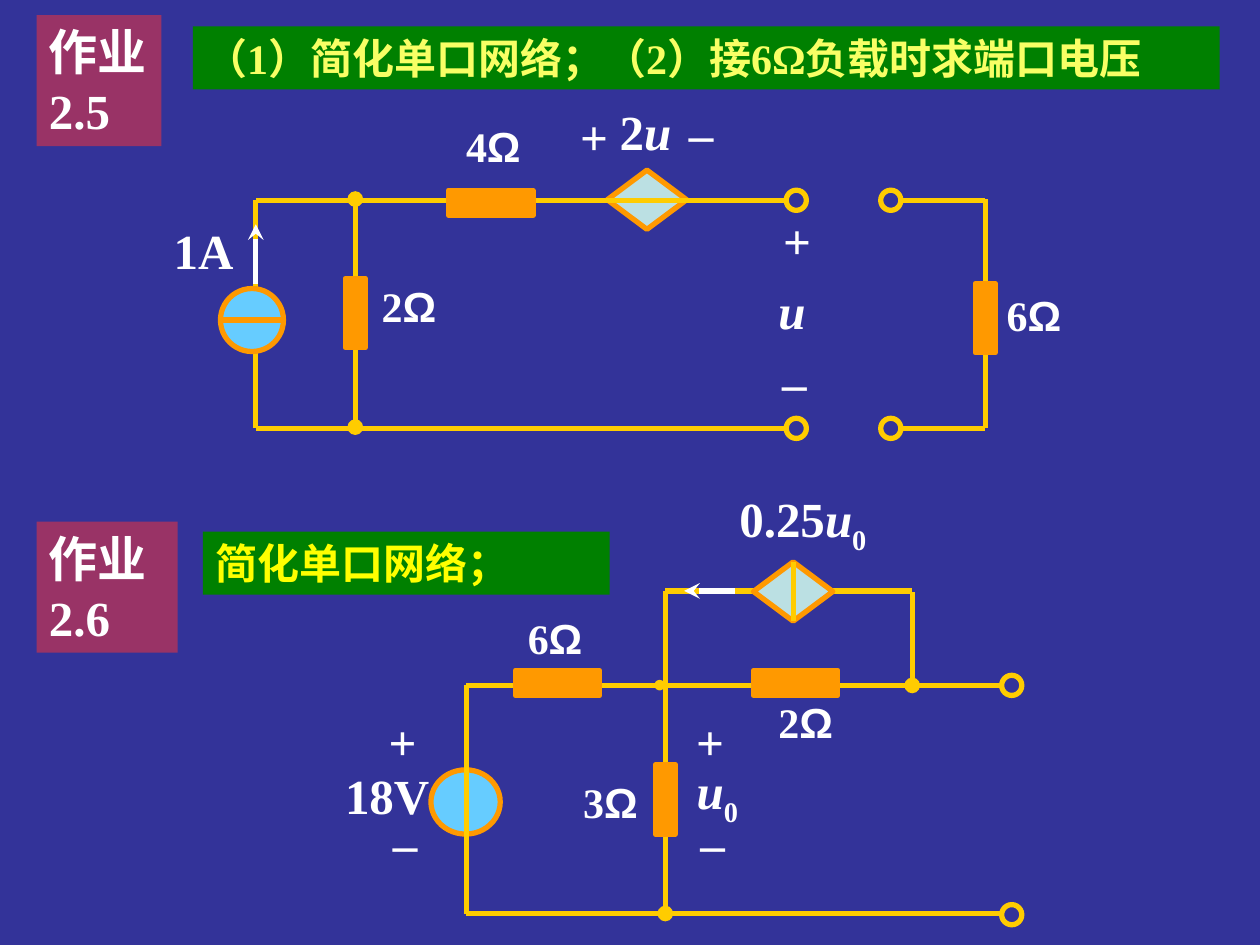
"""Build the homework slide with two single-port resistor circuits."""
from lxml.etree import SubElement
from pptx import Presentation
from pptx.dml.color import RGBColor
from pptx.enum.shapes import MSO_CONNECTOR, MSO_SHAPE
from pptx.enum.text import MSO_ANCHOR, PP_ALIGN
from pptx.oxml.ns import qn
from pptx.util import Pt

PX = 9144
BACKGROUND = RGBColor(0x33, 0x33, 0x99)
PLUM = RGBColor(0x99, 0x33, 0x66)
GREEN = RGBColor(0x00, 0x80, 0x00)
ORANGE = RGBColor(0xFF, 0x99, 0x00)
GOLD = RGBColor(0xFF, 0xCC, 0x00)
SKY = RGBColor(0x66, 0xCC, 0xFF)
PALE = RGBColor(0xBB, 0xE0, 0xE3)
WHITE = RGBColor(0xFF, 0xFF, 0xFF)
YELLOW = RGBColor(0xFF, 0xFF, 0x00)
LEMON = RGBColor(0xF8, 0xFF, 0x65)
SERIF, SANS, CHINESE = "Times New Roman", "Arial", "Noto Sans CJK SC"

presentation = Presentation()
presentation.slide_width = 1000 * PX
presentation.slide_height = 750 * PX
slide = presentation.slides.add_slide(presentation.slide_layouts[6])
slide.background.fill.solid()
slide.background.fill.fore_color.rgb = BACKGROUND


def add_symbol(kind, box, fill, line, rotation=0):
    shape = slide.shapes.add_shape(kind, *(value * PX for value in box))
    shape.shadow.inherit = False
    shape.rotation = rotation
    if fill is None:
        shape.fill.background()
    else:
        shape.fill.solid()
        shape.fill.fore_color.rgb = fill
    if line is None:
        shape.line.fill.background()
    else:
        shape.line.color.rgb = line
        shape.line.width = Pt(3)
    return shape


def write(shape, runs, size, color=WHITE, align=PP_ALIGN.LEFT, anchor=MSO_ANCHOR.TOP):
    frame = shape.text_frame
    frame.word_wrap = True
    frame.vertical_anchor = anchor
    paragraph = frame.paragraphs[0]
    paragraph.alignment = align
    for text, font, style in runs:
        run = paragraph.add_run()
        run.text = text
        run.font.size = Pt(size)
        run.font.bold = True
        run.font.italic = style == "italic"
        run.font.color.rgb = color
        run.font.name = font
        properties = run.font._element
        SubElement(properties, qn("a:ea")).set("typeface", CHINESE)
        if style == "subscript":
            properties.set("baseline", "-25000")


for box, number in (((29, 12, 99, 104), "2.5"), ((29, 414, 112, 104), "2.6")):
    label = add_symbol(MSO_SHAPE.RECTANGLE, box, PLUM, None)
    write(label, [("作业", CHINESE, ""), (number, SERIF, "")], 28, anchor=MSO_ANCHOR.MIDDLE)

for box, text, font, color in (
    ((153, 21, 815, 50), "（1）简化单口网络；（2）接6Ω负载时求端口电压", SERIF, LEMON),
    ((161, 422, 323, 50), "简化单口网络；", SANS, YELLOW),
):
    banner = add_symbol(MSO_SHAPE.RECTANGLE, box, GREEN, None)
    write(banner, [(text, font, "")], 24, color, anchor=MSO_ANCHOR.MIDDLE)

add_symbol(MSO_SHAPE.DIAMOND, (490, 127, 47, 63), PALE, ORANGE, 270)
add_symbol(MSO_SHAPE.OVAL, (342, 611, 55, 51), SKY, ORANGE)

wires = [
    (282, 158, 282, 339, GOLD, "oval", "oval"),
    (203, 159, 203, 340, GOLD, None, None),
    (203, 159, 624, 159, GOLD, None, None),
    (203, 340, 624, 340, GOLD, None, None),
    (782, 158, 782, 340, GOLD, None, None),
    (715, 159, 782, 159, GOLD, None, None),
    (715, 340, 782, 340, GOLD, None, None),
    (528, 469, 528, 725, GOLD, None, "oval"),
    (370, 544, 370, 725, GOLD, None, None),
    (370, 544, 795, 544, GOLD, None, None),
    (370, 725, 795, 725, GOLD, None, None),
    (528, 469, 724, 469, GOLD, None, None),
    (724, 470, 724, 544, GOLD, None, "oval"),
]
source_marks = [
    (175, 254, 225, 254, ORANGE, None, None),
    (203, 225, 203, 178, WHITE, None, "stealth"),
    (630, 446, 630, 493, GOLD, None, None),
    (583, 469, 543, 469, WHITE, None, "stealth"),
]
for lines in (wires, source_marks):
    for x1, y1, x2, y2, color, head, tail in lines:
        wire = slide.shapes.add_connector(
            MSO_CONNECTOR.STRAIGHT, x1 * PX, y1 * PX, x2 * PX, y2 * PX)
        wire.line.color.rgb = color
        wire.line.width = Pt(3)
        outline = wire.line._get_or_add_ln()
        for tag, end in (("a:headEnd", head), ("a:tailEnd", tail)):
            if end:
                SubElement(outline, qn(tag)).set("type", end)
        SubElement(wire._element.spPr, qn("a:effectLst"))
    if lines is wires:
        add_symbol(MSO_SHAPE.OVAL, (175, 229, 50, 50), SKY, ORANGE)
        add_symbol(MSO_SHAPE.DIAMOND, (606, 438, 47, 63), PALE, ORANGE, 90)

horizontal, vertical = (67, 20), (16, 55)
for left, top, size, ohms, label_left, label_top in (
    (356, 151, horizontal, "4", 360, 91),
    (274, 221, vertical, "2", 293, 218),
    (774, 225, vertical, "6", 789, 225),
    (409, 532, horizontal, "6", 409, 481),
    (598, 532, horizontal, "2", 608, 548),
    (520, 607, vertical, "3", 453, 611),
):
    add_symbol(MSO_SHAPE.RECTANGLE, (left, top, *size), ORANGE, ORANGE)
    label = slide.shapes.add_textbox(label_left * PX, label_top * PX, 75 * PX, 50 * PX)
    write(label, [(ohms, SERIF, ""), ("Ω", SANS, "")], 24)

for left, top in ((624, 151), (624, 332), (699, 151), (699, 332), (795, 536), (795, 718)):
    add_symbol(MSO_SHAPE.OVAL, (left, top, 16, 16), None, GOLD)

for sign, width, places in (
    ("+", 49, ((447, 80), (608, 162), (539, 560), (295, 560))),
    ("_", 45, ((534, 64), (608, 261), (543, 627), (299, 627))),
):
    for left, top in places:
        label = slide.shapes.add_textbox(left * PX, top * PX, width * PX, 57 * PX)
        write(label, [(sign, SERIF, "")], 28, align=PP_ALIGN.CENTER)

voltage, zero = ("u", SERIF, "italic"), ("0", SERIF, "subscript")
for left, top, width, height, runs in (
    (128, 170, 75, 57, [("1A", SERIF, "")]),
    (482, 76, 66, 57, [("2", SERIF, ""), voltage]),
    (608, 218, 51, 57, [voltage]),
    (264, 603, 94, 57, [("18V", SERIF, "")]),
    (543, 599, 55, 63, [voltage, zero]),
    (577, 383, 137, 63, [("0.25", SERIF, ""), voltage, zero]),
):
    label = slide.shapes.add_textbox(left * PX, top * PX, width * PX, height * PX)
    write(label, runs, 28)

node = slide.shapes.add_textbox(508 * PX, 525 * PX, 35 * PX, 34 * PX)
write(node, [("●", SANS, "")], 14, GOLD)

presentation.save("out.pptx")
